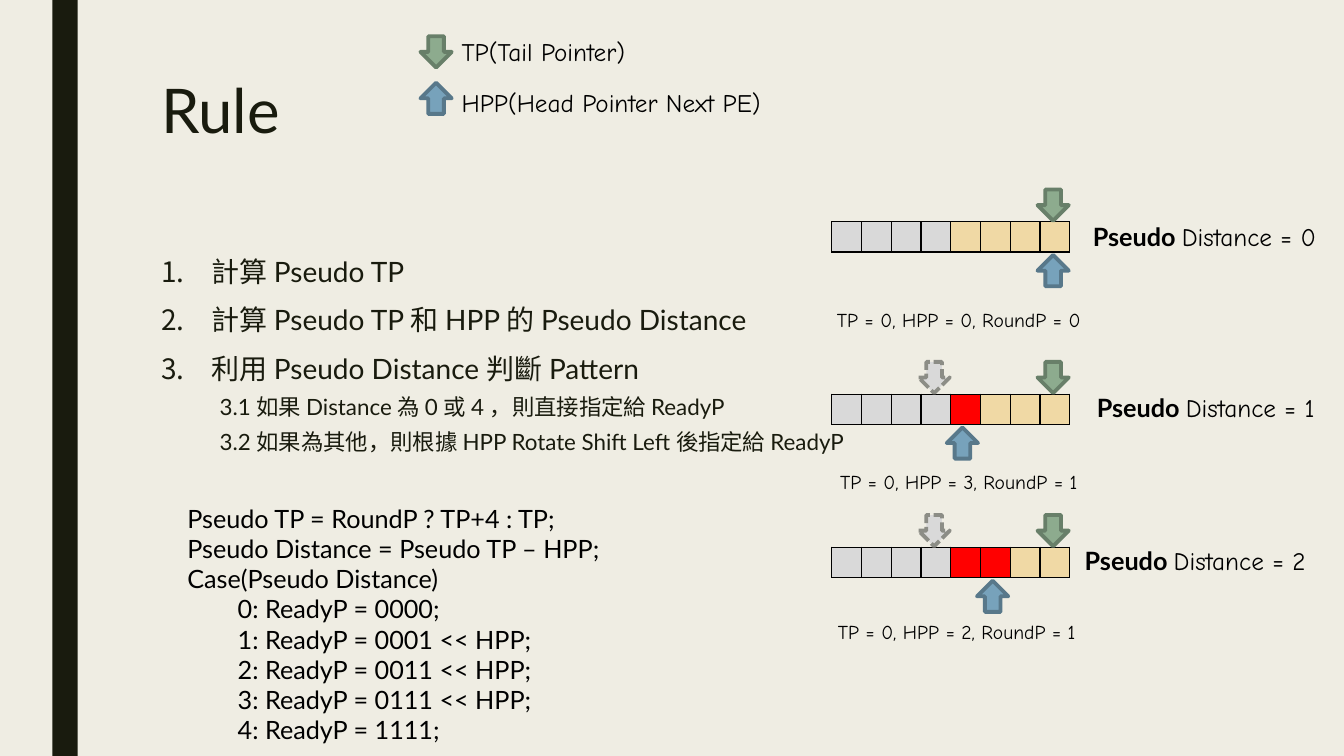
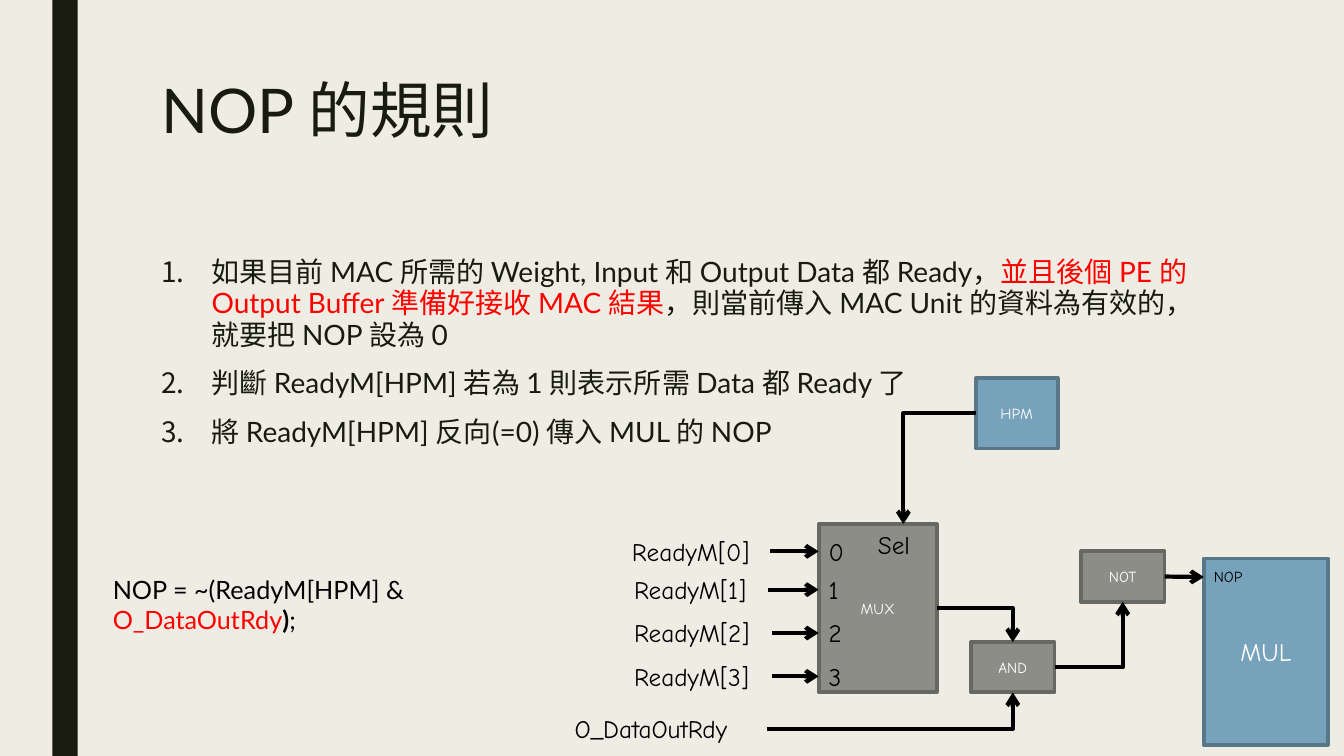
"""Build two slides on the pointer rule and the NOP rule."""
from dataclasses import dataclass
from typing import NamedTuple, Optional, Sequence

from lxml.etree import SubElement
from pptx import Presentation
from pptx.dml.color import RGBColor
from pptx.enum.dml import MSO_LINE_DASH_STYLE as Dash
from pptx.enum.shapes import MSO_CONNECTOR as Link, MSO_SHAPE as Preset
from pptx.enum.text import MSO_ANCHOR as Anchor, MSO_AUTO_SIZE as AutoSize, PP_ALIGN as Align
from pptx.oxml.ns import qn
from pptx.shapes.autoshape import Shape
from pptx.slide import Slide
from pptx.text.text import TextFrame
from pptx.util import Emu, Pt

EMU_PER_PX = 9144
LATO, COMIC = "Lato", "Comic Neue"
PAPER, INK, BLACK, WHITE, RED = "EFEDE3", "191B0E", "000000", "FFFFFF", "FF0000"
GREEN, GREEN_EDGE = "8DAB8E", "687F69"
BLUE, BLUE_EDGE = "77A2BB", "58788A"
GREY, GREY_EDGE = "8C8D86", "686863"
PALE, SAND = "D9D9D9", "F0D9A5"
TOP, LEFT, BOTTOM, RIGHT = range(4)
ARROW_SIZE = 31
SLOT = 30
QUEUE_LEFT, QUEUE_WIDTH, QUEUE_HEIGHT = 825, 118, 30
TP_LEFT, GHOST_LEFT = 1029, 911


class Box(NamedTuple):
    left: int
    top: int
    width: int
    height: int


class Span(NamedTuple):
    text: str
    color: str = BLACK
    font: str = LATO
    bold: bool = False


@dataclass
class Para:
    spans: Sequence[Span]
    size: int = 18
    align: Align = Align.LEFT
    indent: int = 0
    numbered: bool = False
    line: Optional[float] = None
    before: int = 0
    after: int = 0


@dataclass
class Scenario:
    head: int
    round_bit: int
    queue_top: int
    label: Box
    caption: Box


@dataclass
class Block:
    name: str
    box: Box
    fill: str = GREY
    edge: str = GREY_EDGE
    size: int = 11


SCENARIOS = (
    Scenario(0, 0, 220, Box(1074, 215, 252, 40), Box(817, 301, 268, 34)),
    Scenario(3, 1, 391, Box(1078, 384, 248, 40), Box(817, 461, 268, 34)),
    Scenario(2, 1, 543, Box(1066, 536, 252, 40), Box(813, 610, 272, 34)),
)
INPUTS = (
    (Box(617, 527, 147, 40), 36),
    (Box(619, 565, 143, 40), 32),
    (Box(619, 608, 147, 40), 36),
    (Box(619, 651, 147, 40), 29),
)
BLOCKS = (
    Block("MUX", Box(812, 520, 117, 167)),
    Block("HPM", Box(968, 375, 81, 70), BLUE, BLUE_EDGE),
    Block("MUL", Box(1194, 554, 123, 185), BLUE, BLUE_EDGE, 18),
    Block("NOT", Box(1072, 547, 83, 50)),
    Block("AND", Box(963, 637, 83, 50)),
)
CASES = ("0: ReadyP = 0000;", "1: ReadyP = 0001 << HPP;", "2: ReadyP = 0011 << HPP;",
         "3: ReadyP = 0111 << HPP;", "4: ReadyP = 1111;")


def px(length: int) -> Emu:
    """Turn pixels into EMU."""
    return Emu(length * EMU_PER_PX)


def rgb(color: str) -> RGBColor:
    """Turn a hex string into a colour."""
    return RGBColor.from_string(color)


def place(box: Box) -> list[Emu]:
    """Give a box in EMU."""
    return [px(length) for length in box]


def write(frame: TextFrame, paras: Sequence[Para]) -> None:
    """Fill a text frame with formatted paragraphs."""
    for index, para in enumerate(paras):
        paragraph = frame.paragraphs[0] if index == 0 else frame.add_paragraph()
        paragraph.alignment = para.align
        paragraph.space_before, paragraph.space_after = Pt(para.before), Pt(para.after)
        if para.line:
            paragraph.line_spacing = para.line
        properties = paragraph._p.get_or_add_pPr()
        properties.set("marL", str(px(para.indent)))
        properties.set("indent", str(px(-para.indent if para.numbered else 0)))
        if para.numbered:
            SubElement(properties, qn("a:buAutoNum"), type="arabicPeriod")
        for span in para.spans:
            run = paragraph.add_run()
            run.text = span.text
            run.font.name, run.font.size, run.font.bold = span.font, Pt(para.size), span.bold
            run.font.color.rgb = rgb(span.color)


def add_text(slide: Slide, box: Box, paras: Sequence[Para],
             wrap: bool = True, grow: bool = True) -> Shape:
    """Add a text box."""
    label = slide.shapes.add_textbox(*place(box))
    label.text_frame.word_wrap = wrap
    label.text_frame.auto_size = AutoSize.SHAPE_TO_FIT_TEXT if grow else AutoSize.NONE
    write(label.text_frame, paras)
    return label


def add_comic(slide: Slide, box: Box, text: str, size: int = 18,
              align: Align = Align.LEFT, wrap: bool = False) -> Shape:
    """Add a diagram label in the comic font."""
    return add_text(slide, box, [Para([Span(text, font=COMIC)], size, align)], wrap)


def add_preset(slide: Slide, preset: Preset, box: Box, fill: str,
               edge: Optional[str] = None) -> Shape:
    """Add a filled preset shape."""
    figure = slide.shapes.add_shape(preset, *place(box))
    figure.shadow.inherit = False
    figure.fill.solid()
    figure.fill.fore_color.rgb = rgb(fill)
    if edge:
        figure.line.color.rgb = rgb(edge)
        figure.line.width = Pt(2.75)
    else:
        figure.line.fill.background()
    return figure


def add_pointer(slide: Slide, left: int, top: int, fill: str, edge: str) -> Shape:
    """Add a pointer arrow facing down."""
    return add_preset(slide, Preset.DOWN_ARROW, Box(left, top, ARROW_SIZE, ARROW_SIZE), fill, edge)


def add_tail(slide: Slide, left: int, top: int) -> None:
    """Add a tail pointer."""
    add_pointer(slide, left, top, GREEN, GREEN_EDGE)


def add_head(slide: Slide, left: int, top: int) -> None:
    """Add a head pointer facing up."""
    add_pointer(slide, left, top, BLUE, BLUE_EDGE).rotation = 180


def add_queue(slide: Slide, left: int, top: int, fills: Sequence[str]) -> None:
    """Add a one-row queue of coloured slots."""
    box = Box(left, top, QUEUE_WIDTH, QUEUE_HEIGHT)
    queue = slide.shapes.add_table(1, len(fills), *place(box)).table
    queue.first_row = queue.horz_banding = False
    for slot, fill in zip(queue.rows[0].cells, fills):
        slot.margin_left = slot.margin_right = slot.margin_top = slot.margin_bottom = 0
        properties = slot._tc.get_or_add_tcPr()
        for side in ("lnL", "lnR", "lnT", "lnB"):
            border = SubElement(properties, qn(f"a:{side}"), w=str(Pt(1)))
            paint = SubElement(border, qn("a:solidFill"))
            SubElement(paint, qn("a:srgbClr"), val=BLACK)
        slot.fill.solid()
        slot.fill.fore_color.rgb = rgb(fill)


def add_wire(slide: Slide, source: Shape, source_side: int, target: Shape,
             target_side: int, bent: bool = False) -> None:
    """Join two shapes with an arrow."""
    wire = slide.shapes.add_connector(Link.ELBOW if bent else Link.STRAIGHT, 0, 0, 0, 0)
    wire.begin_connect(source, source_side)
    wire.end_connect(target, target_side)
    wire.line.color.rgb = rgb(BLACK)
    wire.line.width = Pt(3)
    properties = wire.element.spPr
    if bent:
        properties.find(qn("a:prstGeom")).set("prst", "bentConnector2")
    SubElement(properties.find(qn("a:ln")), qn("a:tailEnd"), type="arrow")
    SubElement(properties, qn("a:effectLst"))


def add_page(deck: Presentation, title: str, body: Sequence[Para]) -> Slide:
    """Add a slide with the shared background, band, title and body."""
    slide = deck.slides.add_slide(deck.slide_layouts[6])
    slide.background.fill.solid()
    slide.background.fill.fore_color.rgb = rgb(PAPER)
    add_preset(slide, Preset.RECTANGLE, Box(52, 0, 25, 750), INK)
    add_text(slide, Box(150, 75, 1050, 162), [Para([Span(title, INK)], 44, line=0.89)], grow=False)
    add_text(slide, Box(150, 250, 1050, 392), body, grow=False)
    return slide


def step(*spans: Span) -> Para:
    """Make a numbered body item."""
    return Para(spans, 20, indent=50, numbered=True, line=0.94, before=10, after=2)


def substep(text: str) -> Para:
    """Make an indented body item."""
    return Para([Span(text, INK)], 16, indent=58, line=0.94, before=5, after=2)


def add_scenario(slide: Slide, scenario: Scenario) -> None:
    """Draw one queue state with its pointers and labels."""
    distance = 4 * scenario.round_bit - scenario.head
    top = scenario.queue_top
    add_queue(slide, QUEUE_LEFT + QUEUE_WIDTH, top, [RED] * distance + [SAND] * (4 - distance))
    add_queue(slide, QUEUE_LEFT, top, [PALE] * 4)
    add_tail(slide, TP_LEFT, top - 32)
    add_head(slide, TP_LEFT - SLOT * scenario.head, top + 33)
    if scenario.round_bit:
        add_pointer(slide, GHOST_LEFT, top - 32, PALE, GREY).line.dash_style = Dash.SQUARE_DOT
    add_text(slide, scenario.label,
             [Para([Span("Pseudo ", bold=True), Span(f"Distance = {distance}", font=COMIC)])],
             wrap=False)
    add_comic(slide, scenario.caption,
              f"TP = 0, HPP = {scenario.head}, RoundP = {scenario.round_bit}",
              14, Align.CENTER, True)


def add_rule(deck: Presentation) -> None:
    """Build the pointer rule slide."""
    slide = add_page(deck, "Rule", [
        step(Span("計算 Pseudo TP", INK)),
        step(Span("計算 Pseudo TP 和 HPP 的 Pseudo Distance", INK)),
        step(Span("利用 Pseudo Distance 判斷 Pattern", INK)),
        substep("3.1 如果 Distance 為 0 或 4 ，則直接指定給 ReadyP"),
        substep("3.2 如果為其他，則根據 HPP Rotate Shift Left 後指定給 ReadyP"),
    ])
    add_tail(slide, 417, 36)
    add_head(slide, 417, 82)
    add_comic(slide, Box(448, 31, 215, 40), "TP(Tail Pointer)", wrap=True)
    add_comic(slide, Box(448, 82, 349, 40), "HPP(Head Pointer Next PE)", wrap=True)
    for scenario in SCENARIOS:
        add_scenario(slide, scenario)
    opening = ("Pseudo TP = RoundP ? TP+4 : TP;", "Pseudo Distance = Pseudo TP – HPP;",
               "Case(Pseudo Distance)")
    add_text(slide, Box(176, 494, 667, 252),
             [Para([Span(code)]) for code in opening]
             + [Para([Span(code)], indent=50) for code in CASES])


def add_nop(deck: Presentation) -> None:
    """Build the NOP rule slide."""
    slide = add_page(deck, "NOP 的規則", [
        step(Span("如果目前 MAC 所需的 Weight, Input 和 Output Data 都 Ready，", INK),
             Span("並且後個 PE 的 Output Buffer 準備好接收 MAC 結果", RED),
             Span("，則當前傳入 MAC Unit 的資料為有效的，就要把 NOP 設為 0", INK)),
        step(Span("判斷 ReadyM[HPM] 若為 1 則表示所需 Data 都 Ready 了", INK)),
        step(Span("將 ReadyM[HPM] 反向(=0) 傳入 MUL 的 NOP", INK)),
    ])
    add_text(slide, Box(102, 565, 482, 40), [Para([
        Span("NOP = ~(ReadyM[HPM] & "), Span("O_DataOutRdy", RED),
        Span(")", bold=True), Span(";")])])
    gates = {}
    for block in BLOCKS:
        gate = add_preset(slide, Preset.RECTANGLE, block.box, block.fill, block.edge)
        gate.text_frame.word_wrap = True
        gate.text_frame.vertical_anchor = Anchor.MIDDLE
        write(gate.text_frame, [Para([Span(block.name, WHITE, COMIC)], block.size, Align.CENTER)])
        gates[block.name] = gate
    for number, (box, port_width) in enumerate(INPUTS):
        signal = add_comic(slide, box, f"ReadyM[{number}]")
        port = add_comic(slide, Box(812, box.top, port_width, 40), str(number))
        add_wire(slide, signal, RIGHT, port, LEFT)
    select = add_comic(slide, Box(861, 520, 70, 40), "Sel", wrap=True)
    nop = add_comic(slide, Box(1194, 558, 53, 29), "NOP", 11)
    ready = add_comic(slide, Box(560, 703, 201, 40), "O_DataOutRdy")
    add_wire(slide, gates["NOT"], RIGHT, nop, LEFT)
    add_wire(slide, gates["HPM"], LEFT, select, TOP, True)
    add_wire(slide, ready, RIGHT, gates["AND"], BOTTOM, True)
    add_wire(slide, gates["MUX"], RIGHT, gates["AND"], TOP, True)
    add_wire(slide, gates["AND"], RIGHT, gates["NOT"], BOTTOM, True)


def main() -> None:
    """Build and save the deck."""
    deck = Presentation()
    deck.slide_width, deck.slide_height = px(1333), px(750)
    add_rule(deck)
    add_nop(deck)
    deck.save("out.pptx")


if __name__ == "__main__":
    main()
